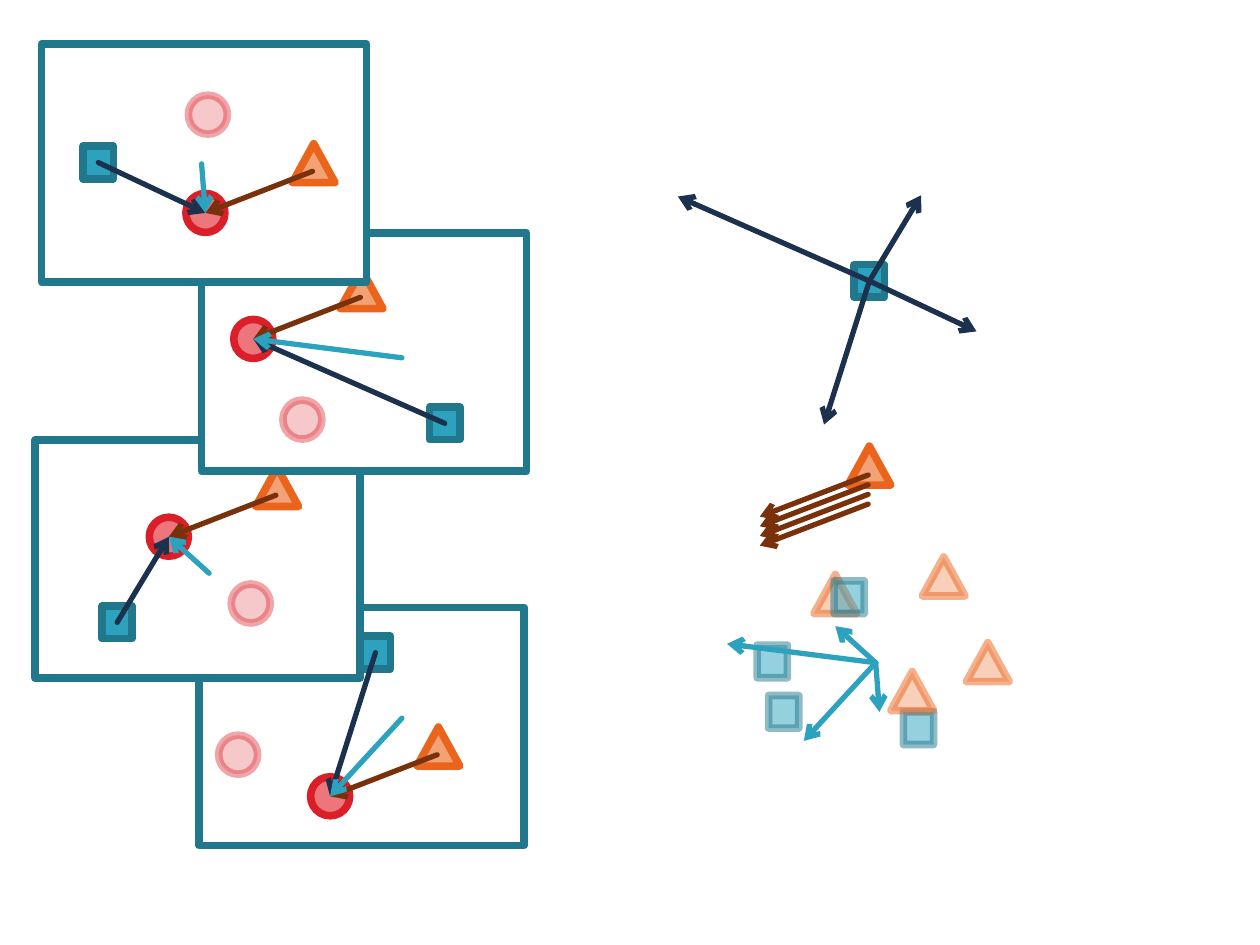
from collections import namedtuple

from lxml.etree import SubElement
from pptx import Presentation
from pptx.dml.color import RGBColor
from pptx.enum.shapes import MSO_CONNECTOR as CONNECTOR, MSO_SHAPE as SHAPE
from pptx.oxml.ns import qn
from pptx.util import Inches, Pt

SLIDE_W, SLIDE_H = Inches(10), Inches(7.5)
COL, ROW = SLIDE_W / 100, SLIDE_H / 75  # all places are in columns and rows

TEAL, TEAL_EDGE = "2DA2BF", "21788D"
NAVY, BROWN, WHITE = "1C314E", "78310B", "FFFFFF"

Marker = namedtuple("Marker", "preset size fill edge")
SQUARE = Marker(SHAPE.RECTANGLE, (2.4, 2.6), TEAL, TEAL_EDGE)
TRIANGLE = Marker(SHAPE.ISOSCELES_TRIANGLE, (3.4, 3.1), "F3A276", "EB641B")
CIRCLE = Marker(SHAPE.OVAL, (3.1, 3.1), "EC767C", "DA1F28")

# Places inside a scene are relative to its top left corner.
Scene = namedtuple("Scene", "corner target square ghost pivot fill")
SCENE_SIZE = (25.8, 18.9)
SCENES = [
    Scene((3.3, 3.5), (13, 13.4), (4.5, 9.4), (13.2, 5.6), (12.7, 9.5), WHITE),
    Scene((16, 18.5), (4.1, 8.4), (19.3, 15.1), (8, 14.8), (15.9, 9.9), WHITE),
    Scene((2.8, 34.9), (10.6, 7.7), (6.5, 14.5), (17.1, 13), (13.8, 10.6), WHITE),
    Scene((15.8, 48.2), (10.4, 15), (14, 3.6), (3.1, 11.7), (16.1, 8.8), None),
]
TRIANGLE_FROM_TARGET = (8.6, -3.95)
BROWN_FROM_TARGET = (8.5, -3.3)
BROWN_VECTOR = (-8.6, 3.3)


def add(a, b):
    return a[0] + b[0], a[1] + b[1]


def subtract(a, b):
    return a[0] - b[0], a[1] - b[1]


def emu(point):
    return round(point[0] * COL), round(point[1] * ROW)


def paint(color_format, hex_color, opacity=100):
    """Set a solid fill's colour, with opacity in percent."""
    color_format.solid()
    color_format.fore_color.rgb = RGBColor.from_string(hex_color)
    if opacity < 100:
        color = next(color_format._xPr.iter(qn("a:srgbClr")))
        SubElement(color, qn("a:alpha"), val=str(opacity * 1000))


def draw_outline(line, hex_color, width, opacity=100):
    paint(line.fill, hex_color, opacity)
    line.width = Pt(width)
    SubElement(line._get_or_add_ln(), qn("a:round"))


def draw_block(slide, preset, corner, size, fill, edge, opacity=100):
    block = slide.shapes.add_shape(preset, *emu(corner), *emu(size))
    block.shadow.inherit = False
    if fill:
        paint(block.fill, fill, opacity)
    else:
        block.fill.background()
    draw_outline(block.line, edge, 4.33, opacity)


def draw_marker(slide, marker, center, opacity=100):
    corner = subtract(center, (marker.size[0] / 2, marker.size[1] / 2))
    draw_block(slide, marker.preset, corner, marker.size,
               marker.fill, marker.edge, opacity)


def draw_arrow(slide, start, end, hex_color):
    arrow = slide.shapes.add_connector(CONNECTOR.STRAIGHT, *emu(start), *emu(end))
    draw_outline(arrow.line, hex_color, 3)
    ln = arrow.line._get_or_add_ln()
    ln.set("cap", "rnd")
    SubElement(ln, qn("a:tailEnd"), type="arrow")
    SubElement(arrow._element.spPr, qn("a:effectLst"))


def draw_scene(slide, scene):
    """Frame with its landmarks and the arrows from each to the target."""
    draw_block(slide, SHAPE.RECTANGLE, scene.corner, SCENE_SIZE,
               scene.fill, TEAL_EDGE)
    target, square, ghost, pivot = (
        add(scene.corner, place)
        for place in (scene.target, scene.square, scene.ghost, scene.pivot))
    draw_marker(slide, CIRCLE, ghost, opacity=40)
    draw_marker(slide, SQUARE, square)
    draw_marker(slide, TRIANGLE, add(target, TRIANGLE_FROM_TARGET))
    draw_marker(slide, CIRCLE, target)
    draw_arrow(slide, square, target, NAVY)
    draw_arrow(slide, add(target, BROWN_FROM_TARGET), target, BROWN)
    draw_arrow(slide, pivot, target, TEAL)


def draw_triangle_summary(slide, center):
    """Equal vectors of all scenes, stacked below one triangle."""
    draw_marker(slide, TRIANGLE, center)
    for index in range(len(SCENES)):
        start = add(center, (-0.1, 0.75 + 0.77 * index))
        draw_arrow(slide, start, add(start, BROWN_VECTOR), BROWN)


def draw_square_summary(slide, center):
    """Vectors of all scenes, seen from the square."""
    draw_marker(slide, SQUARE, center)
    for scene in SCENES:
        vector = subtract(scene.target, scene.square)
        draw_arrow(slide, center, add(center, vector), NAVY)


def draw_pivot_summary(slide, center):
    """Vectors and faded landmarks of all scenes, seen from the pivot."""
    for scene in SCENES:
        shift = subtract(center, scene.pivot)
        target = add(scene.target, shift)
        draw_marker(slide, SQUARE, add(scene.square, shift), opacity=50)
        draw_marker(slide, TRIANGLE, add(target, TRIANGLE_FROM_TARGET), opacity=50)
        draw_arrow(slide, center, target, TEAL)


def main():
    deck = Presentation()
    deck.slide_width, deck.slide_height = SLIDE_W, SLIDE_H
    slide = deck.slides.add_slide(deck.slide_layouts[6])
    for scene in reversed(SCENES):
        draw_scene(slide, scene)
    draw_triangle_summary(slide, (69, 36.95))
    draw_square_summary(slide, (69, 22.3))
    draw_pivot_summary(slide, (69.5, 52.6))
    deck.save("out.pptx")


if __name__ == "__main__":
    main()
